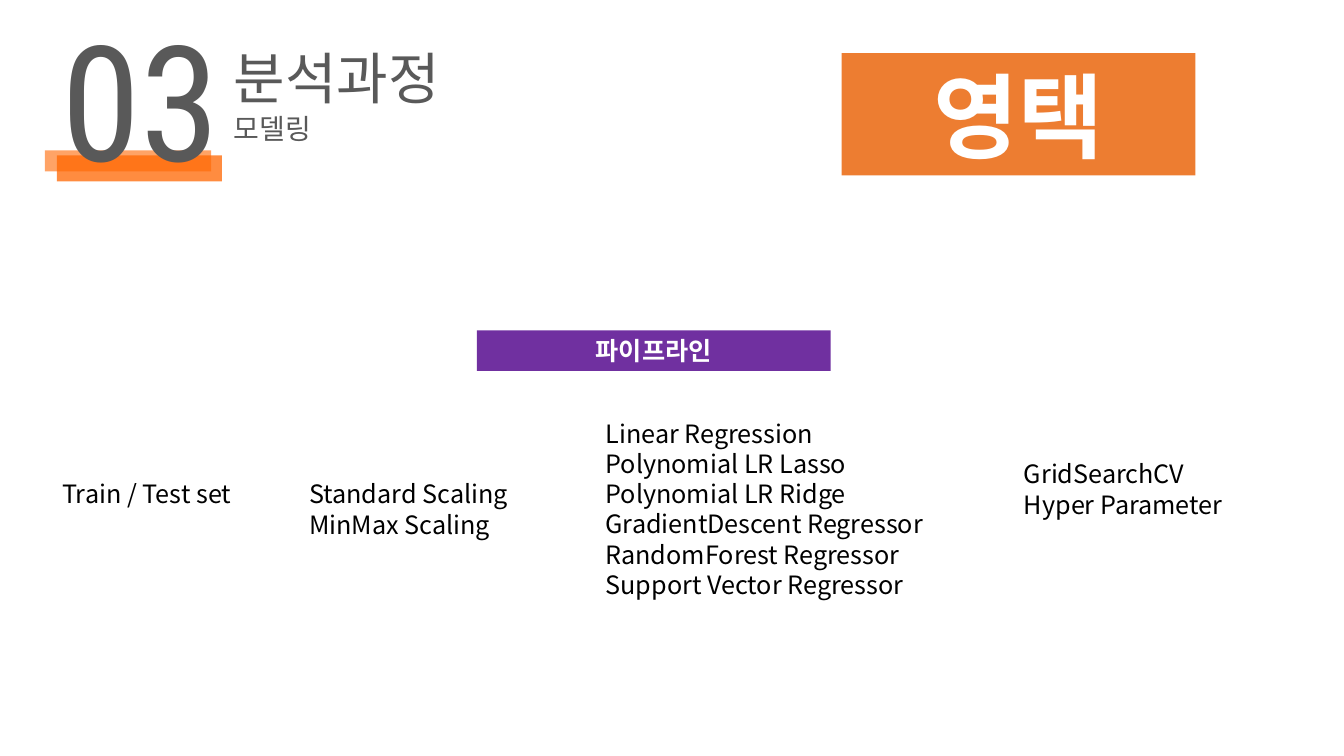
from lxml import etree
from pptx import Presentation
from pptx.dml.color import RGBColor
from pptx.enum.shapes import MSO_SHAPE
from pptx.enum.text import MSO_ANCHOR, MSO_AUTO_SIZE, PP_ALIGN
from pptx.oxml.ns import qn
from pptx.util import Pt

RECTANGLE = MSO_SHAPE.RECTANGLE
LEFT, CENTER = PP_ALIGN.LEFT, PP_ALIGN.CENTER
TOP, MIDDLE = MSO_ANCHOR.TOP, MSO_ANCHOR.MIDDLE
FIT_SHAPE = MSO_AUTO_SIZE.SHAPE_TO_FIT_TEXT

COLORS = {
    "accent": "FF6600", "heading": "595959", "outline": "404040",
    "purple": "7030A0", "orange": "ED7D31", "black": "000000", "white": "FFFFFF",
}
BODY_FONT = "Noto Sans CJK KR"
HEADING_FONT = "Roboto Condensed"
TITLE_ONLY = 5


class SlideBuilder:
    """Holds the current slide and draws styled elements, lengths in points."""

    def __init__(self, page):
        self.page = page

    def place(self, shape, box):
        shape.left, shape.top, shape.width, shape.height = map(Pt, box)

    def set_text(self, shape, text, size, color, font=BODY_FONT, bold=False,
                 align=LEFT, anchor=TOP, outlined=False):
        frame = shape.text_frame
        frame.text = text
        frame.word_wrap = True
        frame.auto_size = FIT_SHAPE
        frame.vertical_anchor = anchor
        frame.margin_left = frame.margin_right = Pt(7.2)
        frame.margin_top = frame.margin_bottom = Pt(3.6)
        for para in frame.paragraphs:
            para.alignment = align
            para.line_spacing = 1.0
            para.space_before = Pt(0)
            for span in para.runs:
                span.font.size = Pt(size)
                span.font.bold = bold
                span.font.name = font
                span.font.color.rgb = RGBColor.from_string(COLORS[color])
                properties = span._r.get_or_add_rPr()
                latin = properties.find(qn("a:latin"))
                latin.addnext(etree.Element(qn("a:ea"), typeface=BODY_FONT))
                if outlined:
                    self.outline(properties)

    def outline(self, properties):
        line = etree.Element(qn("a:ln"), w=str(Pt(0.75)))
        fill = etree.SubElement(line, qn("a:solidFill"))
        color = etree.SubElement(fill, qn("a:srgbClr"), val=COLORS["outline"])
        etree.SubElement(color, qn("a:alpha"), val="70000")
        properties.insert(0, line)

    def title(self, box, text, size):
        shape = self.page.shapes.title
        self.place(shape, box)
        self.set_text(shape, text, size, "heading", HEADING_FONT, outlined=True)

    def text(self, box, text, size, color="black", **style):
        shape = self.page.shapes.add_textbox(*map(Pt, box))
        self.set_text(shape, text, size, color, **style)

    def bar(self, box, color, opacity=100):
        shape = self.page.shapes.add_shape(RECTANGLE, *map(Pt, box))
        shape.shadow.inherit = False
        shape.fill.solid()
        shape.fill.fore_color.rgb = RGBColor.from_string(COLORS[color])
        shape.line.fill.background()
        if opacity < 100:
            fill_color = shape._element.spPr.find(".//" + qn("a:srgbClr"))
            etree.SubElement(fill_color, qn("a:alpha"), val=str(opacity * 1000))
        return shape

    def label(self, box, color, text, size):
        shape = self.bar(box, color)
        self.set_text(shape, text, size, "white", bold=True, align=CENTER, anchor=MIDDLE)


def main():
    deck = Presentation()
    deck.slide_width, deck.slide_height = Pt(960), Pt(540)
    builder = SlideBuilder(deck.slides.add_slide(deck.slide_layouts[TITLE_ONLY]))

    # Section number and heading
    builder.bar((40.6, 111, 118, 18.6), "accent", opacity=75)
    builder.bar((32, 107.5, 118.8, 15), "accent", opacity=60)
    builder.text((36.7, -3, 172.8, 147), "03", 115, "heading",
                 font=HEADING_FONT, outlined=True)
    builder.title((159.8, 27.4, 239.8, 55.4), "분석과정", 40)
    builder.text((159.8, 76.3, 419.8, 31.5), "모델링", 20, "heading", outlined=True)

    # Coloured labels
    builder.label((340.6, 236, 252.7, 29), "purple", "파이프라인", 18)
    builder.label((601.2, 38, 252.7, 87.3), "orange", "영택", 66)

    # Modelling steps, left to right
    steps = [
        ((37.4, 338.4, 158.4, 29), ["Train / Test set"]),
        ((213.8, 338.4, 172.8, 72.7), ["Standard Scaling", "MinMax Scaling"]),
        ((425.5, 295, 312.5, 138.2), [
            "Linear Regression", "Polynomial LR Lasso", "Polynomial LR Ridge",
            "GradientDescent Regressor", "RandomForest Regressor",
            "Support Vector Regressor"]),
        ((724.3, 324, 229.7, 51), ["GridSearchCV", "Hyper Parameter"]),
    ]
    for box, lines in steps:
        builder.text(box, "\n".join(lines), 18)

    deck.save("out.pptx")


if __name__ == "__main__":
    main()
